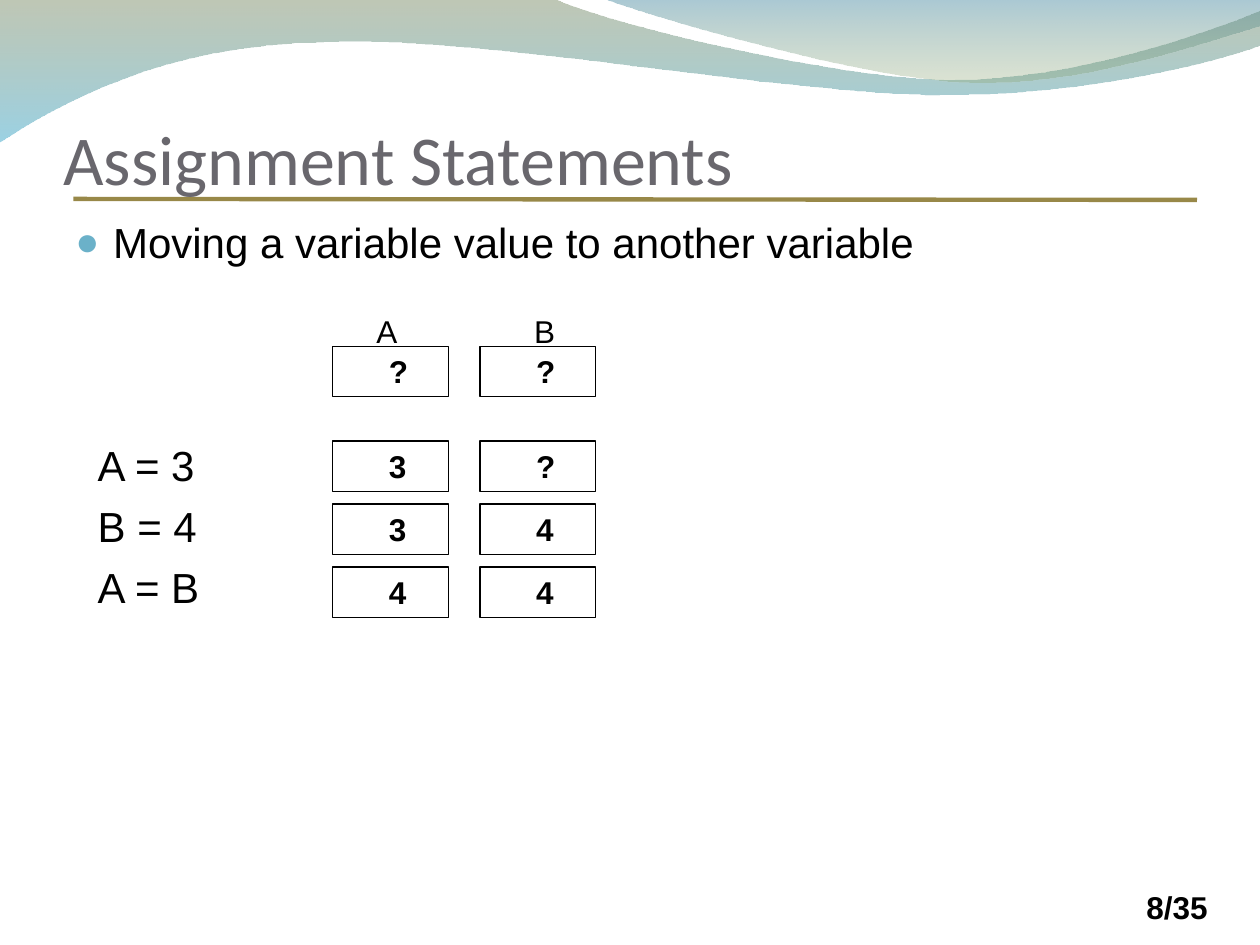
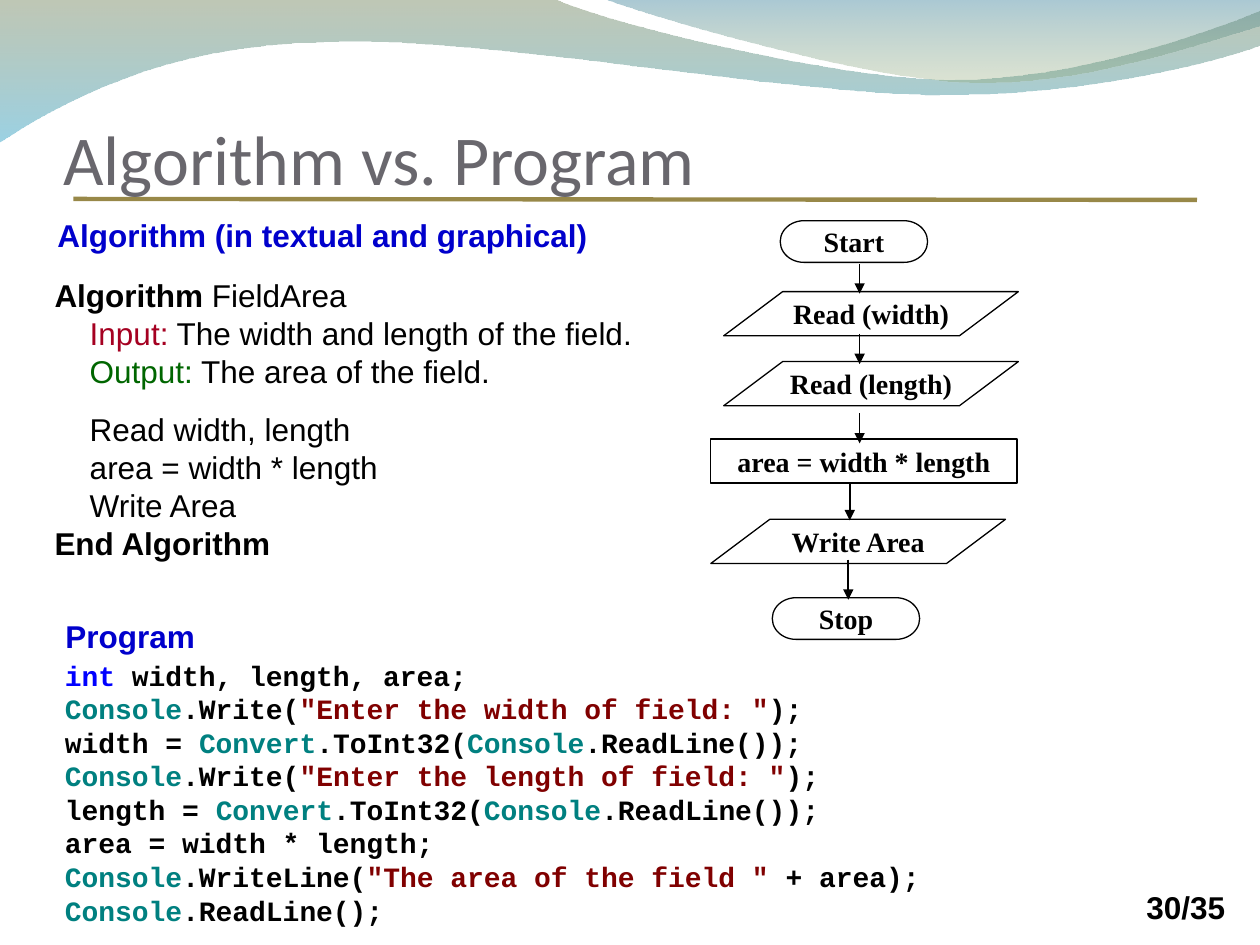
from lxml.etree import SubElement
from pptx import Presentation
from pptx.dml.color import RGBColor
from pptx.enum.shapes import MSO_CONNECTOR, MSO_SHAPE as SHAPE
from pptx.enum.text import MSO_ANCHOR as ANCHOR, PP_ALIGN as ALIGN
from pptx.oxml.ns import qn
from pptx.util import Cm, Pt

BLACK, BLUE, TEAL, MAROON = "000000", "0000FF", "008080", "800000"
HEADING, RED, GREEN = "0000CC", "A50021", "006600"
TITLE_GREY, RULE_GOLD, BULLET_BLUE = "69676D", "988848", "6BB1C9"

TITLE = {"name": "Calibri", "size": Pt(40)}
BODY = {"name": "Arial", "size": Pt(24)}
LABEL = {"name": "Arial", "size": Pt(18), "bold": False}
STRONG = LABEL | {"bold": True}
CODE = {"name": "Courier New", "size": Pt(16), "bold": True}
FLOW = {"name": "Times New Roman", "size": Pt(16), "bold": True}

PAGE_COUNT = 35

# Each wave: start point, then line ends (x, y) or curves (two controls, end), in cm;
# then its (colour, opacity %) at the top and at the bottom
WAVES = [
    ([(-0.02, -0.02), (11.18, -0.02),
      (12.09, 0.43, 16.87, 1.6, 19.25, 1.6),
      (21.67, 1.6, 24.33, 0.66, 25.4, 0.23),
      (25.42, 0.91),
      (24.97, 1.12, 22.1, 1.93, 18.95, 1.91),
      (15.8, 1.91, 9.7, 0.71, 6.53, 0.86),
      (3.28, 0.89, 1.17, 2.11, -0.02, 2.87)],
     [("72845C", 45), ("49ACCD", 55)]),
    ([(12.17, -0.02),
      (12.93, 0.28, 17.32, 1.57, 19.53, 1.65),
      (21.74, 1.75, 24.41, 0.81, 25.4, 0.53),
      (25.4, 0)],
     [("42869E", 45), ("8AA26C", 30)]),
]


def rgb(value):
    return RGBColor.from_string(value)


def write(para, spans, style):
    """Fill a paragraph from a string or from (text, colour, format changes) spans."""
    if isinstance(spans, str):
        spans = [(spans,)]
    for text, *extra in spans:
        span = para.add_run()
        span.text = text
        color = extra[0] if extra else BLACK
        changes = extra[1] if len(extra) > 1 else {}
        for key, value in (style | changes).items():
            setattr(span.font, key, value)
        span.font.color.rgb = rgb(color)


def set_frame(frame, **settings):
    for key, value in settings.items():
        setattr(frame, key, value)


def add_text(page, box, lines, style, **settings):
    frame = page.shapes.add_textbox(*map(Cm, box)).text_frame
    set_frame(frame, **({"word_wrap": True} | settings))
    for index, line in enumerate(lines):
        para = frame.add_paragraph() if index else frame.paragraphs[0]
        write(para, line, style)
    return frame


def add_outlined(page, kind, box, text, style, align, **settings):
    shape = page.shapes.add_shape(kind, *map(Cm, box))
    shape.shadow.inherit = False
    shape.fill.background()
    shape.line.color.rgb = rgb(BLACK)
    shape.line.width = Pt(0.75)
    set_frame(shape.text_frame, **settings)
    para = shape.text_frame.paragraphs[0]
    para.alignment = align
    write(para, text, style)


def add_line(page, start, end, color, width, arrow=False):
    line = page.shapes.add_connector(MSO_CONNECTOR.STRAIGHT, *map(Cm, start + end))
    line.line.color.rgb = rgb(color)
    line.line.width = Pt(width)
    if arrow:
        SubElement(line.line._get_or_add_ln(), qn("a:tailEnd"), type="triangle")
    SubElement(line._element.spPr, qn("a:effectLst"))


def bend(wave, steps):
    """Turn the straight segments of curved steps into cubic curves."""
    segments = list(wave._element.spPr.iter(qn("a:lnTo")))
    for segment, step in zip(segments, steps[1:]):
        if len(step) == 2:
            continue
        segment.tag = qn("a:cubicBezTo")
        for index, (x, y) in enumerate((step[:2], step[2:4])):
            point = SubElement(segment, qn("a:pt"),
                               x=str(Cm(x) - wave.left), y=str(Cm(y) - wave.top))
            segment.insert(index, point)


def add_wave(page, steps, stops):
    ends = [(Cm(step[-2]), Cm(step[-1])) for step in steps]
    builder = page.shapes.build_freeform(*ends[0])
    builder.add_line_segments(ends[1:], close=True)
    wave = builder.convert_to_shape()
    bend(wave, steps)
    wave.shadow.inherit = False
    wave.line.fill.background()
    wave.fill.gradient()
    wave.fill.gradient_angle = 270
    for stop, (color, _) in zip(wave.fill.gradient_stops, stops):
        stop.color.rgb = rgb(color)
    for node, (_, opacity) in zip(wave._element.spPr.iter(qn("a:srgbClr")), stops):
        SubElement(node, qn("a:alpha"), val=str(opacity * 1000))


def add_page(deck, title, number):
    """Add a slide with the waves, rule, page number and title."""
    page = deck.slides.add_slide(deck.slide_layouts[6])
    for steps, stops in WAVES:
        add_wave(page, steps, stops)
    add_line(page, (1.48, 4.01), (24.13, 4.03), RULE_GOLD, 2.5)
    add_text(page, (22.86, 17.78, 2.34, 1.02), [f"{number}/{PAGE_COUNT}"], STRONG,
             word_wrap=False)
    add_text(page, (1.28, 0.84, 22.86, 3.18), [[(title, TITLE_GREY)]], TITLE,
             vertical_anchor=ANCHOR.BOTTOM, margin_left=0, margin_right=0, margin_bottom=0)
    return page


def set_indent(para, left, first=0):
    props = para._p.get_or_add_pPr()
    props.set("marL", str(Cm(left)))
    props.set("indent", str(Cm(first)))
    return props


def add_statements(page, box):
    """Write the bullet and, below it, the three assignments."""
    frame = add_text(page, box, [], BODY)
    bullet = frame.paragraphs[0]
    props = set_indent(bullet, 0.76, -0.76)
    SubElement(SubElement(props, qn("a:buClr")), qn("a:srgbClr"), val=BULLET_BLUE)
    SubElement(props, qn("a:buSzPct"), val="95000")
    SubElement(props, qn("a:buFont"), typeface="Arial")
    SubElement(props, qn("a:buChar"), char="●")
    write(bullet, "Moving a variable value to another variable", BODY)
    for text, gap in (("A = 3", 98.5), ("B = 4", 6), ("A = B", 6)):
        para = frame.add_paragraph()
        set_indent(para, 0.45)
        para.space_before = Pt(gap)
        write(para, text, BODY)


def add_memory_grid(page, left, top):
    """Draw the values of A and B before and after each statement."""
    width, height, column_pitch, row_pitch = 2.33, 1.02, 2.97, 1.27
    for name, offset in (("A", 0.63), ("B", 3.81)):
        add_text(page, (left + offset, top - 0.82, 1.27, height), [name], LABEL)
    states = ["??", "3?", "34", "44"]
    for row, values in enumerate(states):
        y = top + (0.64 + row * row_pitch if row else 0)
        for column, value in enumerate(values):
            add_outlined(page, SHAPE.RECTANGLE,
                         (left + column * column_pitch, y, width, height),
                         value, STRONG, ALIGN.LEFT,
                         vertical_anchor=ANCHOR.TOP, margin_left=Cm(1.13))


def add_flowchart(page, left, top):
    ends, data, process = (2.97, 0.84), (5.94, 0.89), (6.17, 0.89)
    steps = [
        ("Start", SHAPE.FLOWCHART_TERMINATOR, 1.4, 0, ends),
        ("Read (width)", SHAPE.FLOWCHART_DATA, 0.26, 1.43, data),
        ("Read (length)", SHAPE.FLOWCHART_DATA, 0.26, 2.84, data),
        ("area = width * length", SHAPE.FLOWCHART_PROCESS, 0, 4.4, process),
        ("Write Area", SHAPE.FLOWCHART_DATA, 0, 6.02, data),
        ("Stop", SHAPE.FLOWCHART_TERMINATOR, 1.24, 7.6, ends),
    ]
    for text, kind, x, y, size in steps:
        add_outlined(page, kind, (left + x, top + y, *size), text, FLOW, ALIGN.CENTER,
                     vertical_anchor=ANCHOR.MIDDLE, word_wrap=False)
    arrows = [(3, 0.88, 1.47), (3, 2.28, 2.89), (3, 3.88, 4.49),
              (2.8, 5.28, 6.04), (2.77, 6.83, 7.64)]
    for x, start, end in arrows:
        add_line(page, (left + x, top + start), (left + x, top + end), BLACK, 1, arrow=True)


def add_algorithm(page, box):
    lines = [
        [("Algorithm", BLACK, {"bold": True}), (" FieldArea",)],
        [("Input:", RED), (" The width and length of the field.",)],
        [("Output:", GREEN), (" The area of the field.",)],
        "Read width, length",
        "area = width * length",
        "Write Area",
        [("End Algorithm", BLACK, {"bold": True})],
    ]
    paras = add_text(page, box, lines, LABEL).paragraphs
    for para in paras[1:-1]:
        set_indent(para, 0.71)
    paras[3].space_before = Pt(12)


def add_program(page, box):
    console, convert = ("Console", TEAL), ("Convert", TEAL)
    read_number = [convert, (".ToInt32(",), console, (".ReadLine());",)]

    def prompt(text):
        return [console, (".Write(",), (text, MAROON), (");",)]

    lines = [
        [("int", BLUE), (" width, length, area;",)],
        prompt('"Enter the width of field: "'),
        [("width = ",), *read_number],
        prompt('"Enter the length of field: "'),
        [("length = ",), *read_number],
        "area = width * length;",
        [console, (".WriteLine(",), ('"The area of the field "', MAROON), (" + area);",)],
        [console, (".ReadLine();",)],
    ]
    add_text(page, box, lines, CODE, vertical_anchor=ANCHOR.MIDDLE)


def build_assignment(deck):
    page = add_page(deck, "Assignment Statements", 8)
    add_statements(page, (1.27, 4.24, 22.86, 13.54))
    add_memory_grid(page, 6.71, 6.98)


def build_algorithm(deck):
    page = add_page(deck, "Algorithm vs. Program", 30)
    add_flowchart(page, 14.33, 4.45)
    add_program(page, (1.06, 13.13, 18.62, 5.69))
    add_algorithm(page, (0.85, 5.44, 12.7, 6.02))
    for text, box in (("Algorithm (in textual and graphical)", (0.91, 4.24, 11.2, 1.02)),
                      ("Program", (1.07, 12.32, 3.12, 1.02))):
        add_text(page, box, [[(text, HEADING)]], STRONG, word_wrap=False)


def main():
    deck = Presentation()
    deck.slide_width, deck.slide_height = Cm(25.4), Cm(19.05)
    build_assignment(deck)
    build_algorithm(deck)
    deck.save("out.pptx")


if __name__ == "__main__":
    main()
